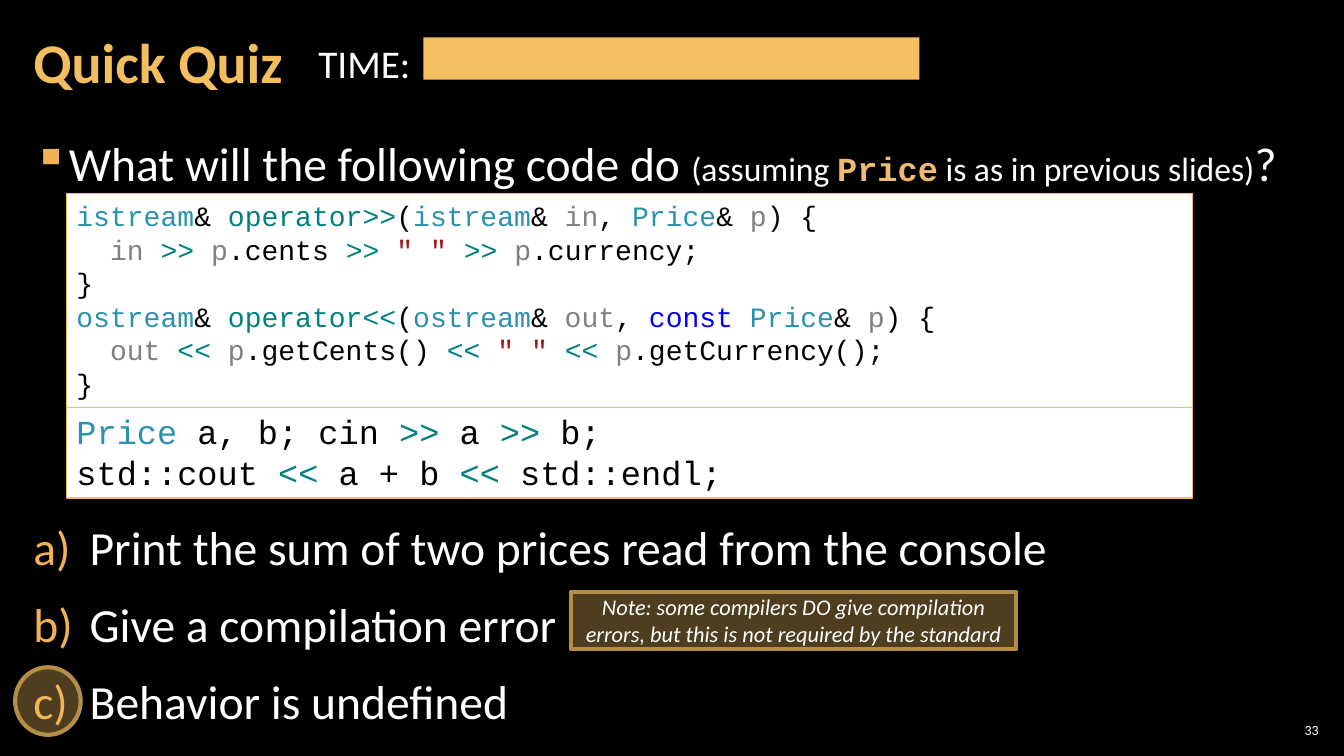
from dataclasses import dataclass, field
from typing import Any, Optional

import lxml.etree
import pptx
import pptx.dml.color
import pptx.enum.shapes
import pptx.enum.text
import pptx.oxml.ns
import pptx.util

Inches = pptx.util.Inches
Align = pptx.enum.text.PP_ALIGN
Anchor = pptx.enum.text.MSO_ANCHOR
ShapeKind = pptx.enum.shapes.MSO_SHAPE


@dataclass(frozen=True)
class Theme:
    background: str = "000000"
    light: str = "FFFFFF"
    gold: str = "F3BE60"
    dark_gold: str = "B48D47"
    bullet: str = "F2B254"
    inline_code: str = "EFBB72"
    plain: str = "000000"
    type_name: str = "2B91AF"
    operator: str = "008080"
    parameter: str = "808080"
    keyword: str = "0000FF"
    string: str = "A31515"
    text_font: str = "Calibri"
    code_font: str = "Courier New"
    title_size: float = 40
    body_size: float = 34
    time_size: float = 28
    aside_size: float = 24
    call_size: float = 24
    definition_size: float = 20
    note_size: float = 16
    number_size: float = 10


THEME = Theme()


@dataclass(frozen=True)
class Run:
    text: str
    size: float
    color: str = THEME.light
    font: str = THEME.text_font
    bold: bool = False
    italic: bool = False


Line = list[Run]


@dataclass(frozen=True)
class Box:
    left: float
    top: float
    width: float
    height: float


@dataclass(frozen=True)
class Panel:
    box: Box
    fill: str
    outline: Optional[str] = None
    outline_width: float = 1
    kind: Any = ShapeKind.RECTANGLE
    opacity: Optional[int] = None
    lines: list[Line] = field(default_factory=list)
    align: Any = Align.LEFT
    anchor: Any = Anchor.TOP


@dataclass(frozen=True)
class Label:
    box: Box
    lines: list[Line]
    insets: tuple[float, float] = (0.12, 0.04)
    align: Any = Align.LEFT
    anchor: Any = Anchor.TOP
    wrap: bool = True
    bullet: Optional[tuple[str, str, str]] = None
    indent: float = 0


def rgb(color: str) -> pptx.dml.color.RGBColor:
    return pptx.dml.color.RGBColor.from_string(color)


def code(size: float, *tokens: tuple[str, str]) -> Line:
    return [Run(text, size, color, THEME.code_font) for text, color in tokens]


def stream_operator(stream: str, symbol: str, variable: str, qualifier: str,
                    first_member: str, second_member: str) -> list[Line]:
    theme = THEME
    size = theme.definition_size
    shift = (f"{symbol} ", theme.operator)
    price = ("p", theme.parameter)
    reference = ("& ", theme.plain)
    constant = [(qualifier, theme.keyword)] if qualifier else []
    return [
        code(size, (stream, theme.type_name), reference,
             (f"operator{symbol}", theme.operator), ("(", theme.plain),
             (stream, theme.type_name), reference, (variable, theme.parameter),
             (", ", theme.plain), *constant, ("Price", theme.type_name),
             reference, price, (") {", theme.plain)),
        code(size, (f"  {variable} ", theme.parameter), shift, price,
             (f".{first_member} ", theme.plain), shift, ('" " ', theme.string),
             shift, price, (f".{second_member};", theme.plain)),
        code(size, ("}", theme.plain)),
    ]


def write_lines(frame: Any, lines: list[Line], align: Any) -> None:
    for index, line in enumerate(lines):
        paragraph = frame.paragraphs[0] if index == 0 else frame.add_paragraph()
        paragraph.alignment = align
        for item in line:
            run = paragraph.add_run()
            run.text = item.text
            run.font.name = item.font
            run.font.size = pptx.util.Pt(item.size)
            run.font.bold = item.bold
            run.font.italic = item.italic
            run.font.color.rgb = rgb(item.color)


def add_bullet(paragraph: Any, bullet: tuple[str, str, str], indent: float) -> None:
    paragraph.line_spacing = 1.05
    paragraph.space_before = paragraph.space_after = pptx.util.Pt(6)
    properties = paragraph._p.get_or_add_pPr()
    properties.set("marL", str(Inches(indent)))
    properties.set("indent", str(-Inches(indent)))
    qualified = pptx.oxml.ns.qn
    color = lxml.etree.SubElement(properties, qualified("a:buClr"))
    lxml.etree.SubElement(color, qualified("a:srgbClr"), val=THEME.bullet)
    tag, attribute, value = bullet
    lxml.etree.SubElement(properties, qualified(tag), {attribute: value})


def place(shape: Any, box: Box) -> None:
    shape.left, shape.top = Inches(box.left), Inches(box.top)
    shape.width, shape.height = Inches(box.width), Inches(box.height)


def fill_label(shape: Any, label: Label) -> None:
    place(shape, label.box)
    frame = shape.text_frame
    frame.auto_size = pptx.enum.text.MSO_AUTO_SIZE.NONE
    frame.word_wrap = label.wrap
    frame.vertical_anchor = label.anchor
    horizontal, vertical = label.insets
    frame.margin_left = frame.margin_right = Inches(horizontal)
    frame.margin_top = frame.margin_bottom = Inches(vertical)
    write_lines(frame, label.lines, label.align)
    if label.bullet:
        for paragraph in frame.paragraphs:
            add_bullet(paragraph, label.bullet, label.indent)


def add_label(slide: Any, label: Label) -> None:
    fill_label(slide.shapes.add_textbox(0, 0, 0, 0), label)


def add_panel(slide: Any, panel: Panel) -> None:
    shape = slide.shapes.add_shape(panel.kind, 0, 0, 0, 0)
    place(shape, panel.box)
    shape.shadow.inherit = False
    shape.fill.solid()
    shape.fill.fore_color.rgb = rgb(panel.fill)
    if panel.opacity is not None:
        color = shape._element.spPr.find(".//" + pptx.oxml.ns.qn("a:srgbClr"))
        lxml.etree.SubElement(color, pptx.oxml.ns.qn("a:alpha"), val=str(panel.opacity * 1000))
    if panel.outline:
        shape.line.color.rgb = rgb(panel.outline)
        shape.line.width = pptx.util.Pt(panel.outline_width)
    else:
        shape.line.fill.background()
    shape.text_frame.word_wrap = True
    shape.text_frame.vertical_anchor = panel.anchor
    write_lines(shape.text_frame, panel.lines, panel.align)


def main() -> None:
    theme = THEME
    presentation = pptx.Presentation()
    presentation.slide_width, presentation.slide_height = Inches(13.33), Inches(7.5)
    slide = presentation.slides.add_slide(presentation.slide_layouts.get_by_name("Title Only"))
    slide.background.fill.solid()
    slide.background.fill.fore_color.rgb = rgb(theme.background)

    title = Label(Box(0.21, 0.04, 10.47, 1.21),
                  [[Run("Quick Quiz", theme.title_size, theme.gold, bold=True)]], anchor=Anchor.MIDDLE)
    fill_label(slide.shapes.title, title)
    slide.shapes.title.text_frame.paragraphs[0].line_spacing = 0.9

    question = [Run("What will the following code do ", theme.body_size),
                Run("(assuming ", theme.aside_size),
                Run("Price", theme.aside_size, theme.inline_code, theme.code_font, bold=True),
                Run(" is as in previous slides)", theme.aside_size),
                Run("?", theme.body_size)]
    answers = ["Print the sum of two prices read from the console",
               "Give a compilation error", "Behavior is undefined"]
    labels = [
        Label(Box(0.21, 1.26, 12.91, 0.7), [question], bullet=("a:buChar", "char", "▪"), indent=0.33),
        Label(Box(0.21, 5.07, 12.91, 2.28), [[Run(answer, theme.body_size)] for answer in answers],
              bullet=("a:buAutoNum", "type", "alphaLcParenR"), indent=0.56),
        Label(Box(3.06, 0.34, 1.12, 0.57), [[Run("TIME:", theme.time_size)]], (0.1, 0.05), wrap=False),
        Label(Box(12.65, 7.14, 0.47, 0.21), [[Run("33", theme.number_size)]], (0.04, 0.04),
              Align.RIGHT, Anchor.MIDDLE),
    ]
    for label in labels:
        add_label(slide, label)

    definitions = (stream_operator("istream", ">>", "in", "", "cents", "currency")
                   + stream_operator("ostream", "<<", "out", "const ", "getCents()", "getCurrency()"))
    read, write = (">>", theme.operator), ("<<", theme.operator)
    calls = [code(theme.call_size, ("Price", theme.type_name), (" a, b; cin ", theme.plain), read,
                  (" a ", theme.plain), read, (" b;", theme.plain)),
             code(theme.call_size, ("std::cout ", theme.plain), write, (" a + b ", theme.plain), write,
                  (" std::endl;", theme.plain))]
    note = Run("Note: some compilers DO give compilation errors, but this is not required by the standard",
               theme.note_size, italic=True)
    panels = [
        Panel(Box(4.2, 0.37, 4.92, 0.42), theme.gold),
        Panel(Box(0.15, 6.62, 0.65, 0.67), theme.gold, theme.dark_gold, 3, ShapeKind.OVAL, 32),
        Panel(Box(0.66, 4.03, 11.17, 0.91), theme.light, theme.gold, lines=calls),
        Panel(Box(0.66, 1.92, 11.17, 2.12), theme.light, theme.gold, lines=definitions),
        Panel(Box(5.66, 5.87, 4.42, 0.57), theme.gold, theme.dark_gold, 3, opacity=32,
              lines=[[note]], align=Align.CENTER, anchor=Anchor.MIDDLE),
    ]
    for panel in panels:
        add_panel(slide, panel)
    presentation.save("out.pptx")


if __name__ == "__main__":
    main()
